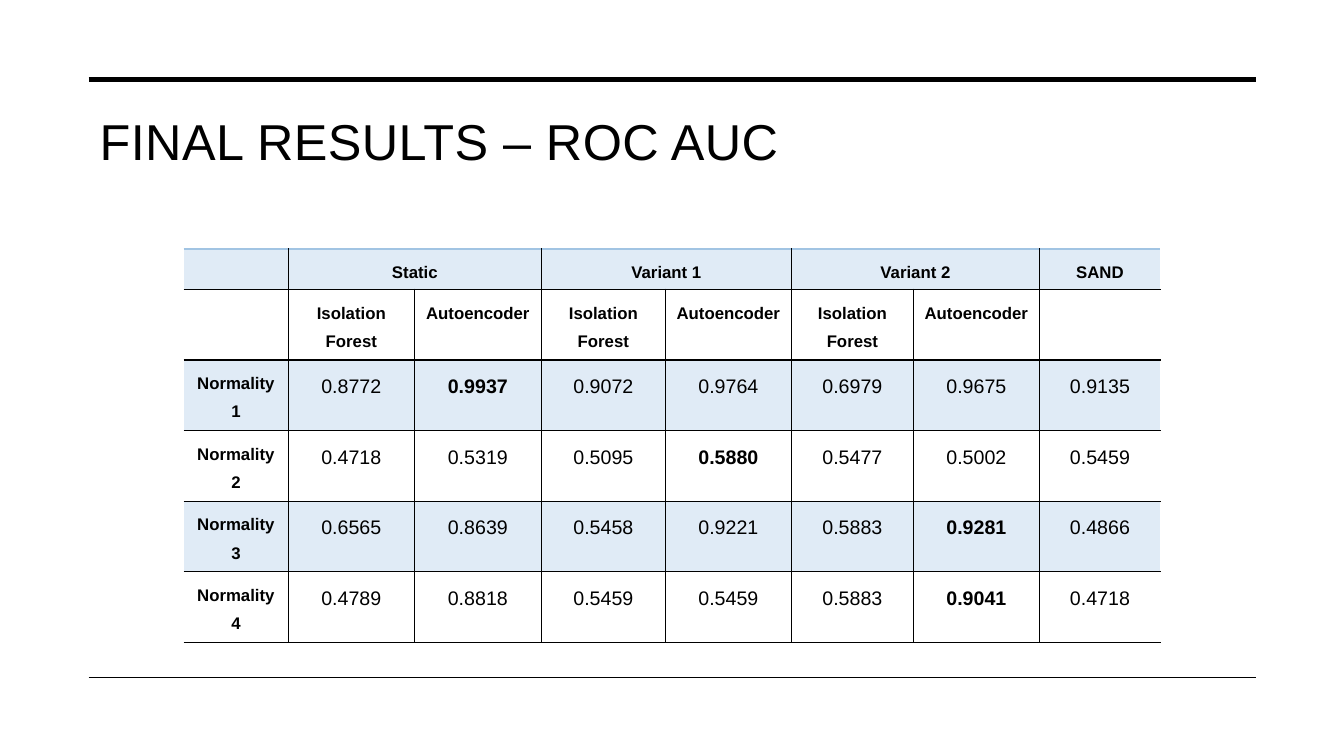
from lxml import etree
from pptx import Presentation
from pptx.dml.color import RGBColor
from pptx.enum.shapes import MSO_CONNECTOR
from pptx.enum.text import MSO_ANCHOR, PP_ALIGN
from pptx.oxml.ns import qn
from pptx.util import Inches, Pt

STRAIGHT = MSO_CONNECTOR.STRAIGHT
MIDDLE = MSO_ANCHOR.MIDDLE
CENTER = PP_ALIGN.CENTER

THEME = {
    "font": "Arial",
    "ink": "000000",
    "paper": "FFFFFF",
    "band": "E0EBF6",
    "top_edge": "A1C4E3",
    "title_size": 36,
    "label_size": 12,
    "score_size": 14,
}

ROWS = [
    ["", "Static", "", "Variant 1", "", "Variant 2", "", "SAND"],
    [""] + ["Isolation Forest", "Autoencoder"] * 3 + [""],
    ["Normality 1", "0.8772", "0.9937", "0.9072", "0.9764", "0.6979", "0.9675", "0.9135"],
    ["Normality 2", "0.4718", "0.5319", "0.5095", "0.5880", "0.5477", "0.5002", "0.5459"],
    ["Normality 3", "0.6565", "0.8639", "0.5458", "0.9221", "0.5883", "0.9281", "0.4866"],
    ["Normality 4", "0.4789", "0.8818", "0.5459", "0.5459", "0.5883", "0.9041", "0.4718"],
]
BEST_SCORES = {(2, 2), (3, 4), (4, 6), (5, 6)}
COLUMN_WIDTHS = [1.04, 1.25, 1.26, 1.23, 1.25, 1.21, 1.25, 1.2]
ROW_HEIGHTS = [0.35, 0.48] + [0.54] * 4


def style_span(span, size, bold):
    span.font.name = THEME["font"]
    span.font.size = Pt(size)
    span.font.bold = bold
    span.font.color.rgb = RGBColor.from_string(THEME["ink"])


def add_border(cell, side, color):
    properties = cell._tc.get_or_add_tcPr()
    line = etree.SubElement(properties, qn(f"a:ln{side}"), w=str(Pt(1)))
    if color is None:
        etree.SubElement(line, qn("a:noFill"))
    else:
        fill = etree.SubElement(line, qn("a:solidFill"))
        etree.SubElement(fill, qn("a:srgbClr"), val=color)


deck = Presentation()
deck.slide_width = Inches(13.33)
deck.slide_height = Inches(7.5)
page = deck.slides.add_slide(deck.slide_layouts[6])

for top, weight in [(0.79, 3.5), (6.72, 1)]:
    rule = page.shapes.add_connector(
        STRAIGHT, Inches(0.88), Inches(top), Inches(12.46), Inches(top)
    )
    rule.line.color.rgb = RGBColor.from_string(THEME["ink"])
    rule.line.width = Pt(weight)
    etree.SubElement(rule._element.spPr, qn("a:effectLst"))

title = page.shapes.add_textbox(Inches(0.89), Inches(1.02), Inches(9.42), Inches(0.74))
title.text_frame.word_wrap = True
title.text_frame.vertical_anchor = MIDDLE
title.text_frame.text = "FINAL RESULTS – ROC AUC"
title_span = title.text_frame.paragraphs[0].runs[0]
style_span(title_span, THEME["title_size"], False)
title_span.font._element.set("spc", "30")

table = page.shapes.add_table(
    len(ROWS), len(COLUMN_WIDTHS), Inches(1.82), Inches(2.47),
    Inches(sum(COLUMN_WIDTHS)), Inches(sum(ROW_HEIGHTS)),
).table
table.first_row = False
table.horz_banding = False
for column, width in zip(table.columns, COLUMN_WIDTHS):
    column.width = Inches(width)
for row, height in zip(table.rows, ROW_HEIGHTS):
    row.height = Inches(height)

last_column = len(COLUMN_WIDTHS) - 1
for row_index, values in enumerate(ROWS):
    for column_index, value in enumerate(values):
        cell = table.cell(row_index, column_index)
        add_border(cell, "L", THEME["ink"] if column_index else None)
        add_border(cell, "R", THEME["paper" if column_index == last_column else "ink"])
        add_border(cell, "T", THEME["ink" if row_index else "top_edge"])
        add_border(cell, "B", THEME["ink"])
        cell.fill.solid()
        fill_color = THEME["paper" if row_index % 2 else "band"]
        cell.fill.fore_color.rgb = RGBColor.from_string(fill_color)
        if value:
            is_label = row_index < 2 or column_index == 0
            cell.text_frame.text = value
            para = cell.text_frame.paragraphs[0]
            para.alignment = CENTER
            para.line_spacing = 1.5
            style_span(
                para.runs[0],
                THEME["label_size" if is_label else "score_size"],
                is_label or (row_index, column_index) in BEST_SCORES,
            )

for start in (1, 3, 5):
    table.cell(0, start).merge(table.cell(0, start + 1))

deck.save("out.pptx")
